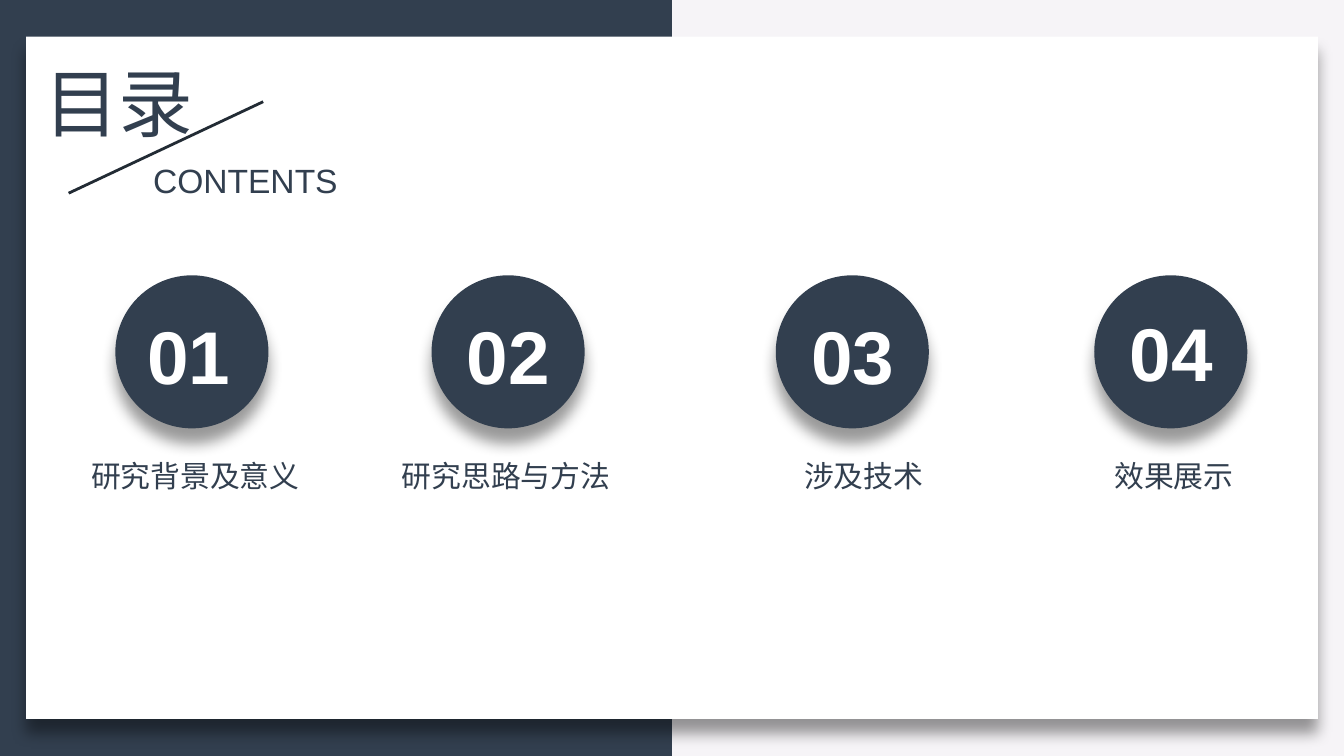
from pptx import Presentation
from pptx.dml.color import RGBColor
from pptx.enum.shapes import MSO_CONNECTOR, MSO_SHAPE
from pptx.enum.text import MSO_ANCHOR, MSO_AUTO_SIZE, PP_ALIGN
from pptx.oxml import parse_xml
from pptx.oxml.ns import nsdecls, qn
from pptx.util import Pt

RECT, OVAL = MSO_SHAPE.RECTANGLE, MSO_SHAPE.OVAL
STRAIGHT = MSO_CONNECTOR.STRAIGHT
TOP, GROW = MSO_ANCHOR.TOP, MSO_AUTO_SIZE.SHAPE_TO_FIT_TEXT
LEFT, CENTER = PP_ALIGN.LEFT, PP_ALIGN.CENTER
NAVY, WHITE = "323F4F", "FFFFFF"
SHADOW = (f'<a:effectLst {nsdecls("a")}>'
          '<a:outerShdw blurRad="101600" dist="101600" dir="5400000" algn="t" rotWithShape="0">'
          '<a:srgbClr val="000000"><a:alpha val="40000"/></a:srgbClr>'
          '</a:outerShdw></a:effectLst>')

prs = Presentation()
prs.slide_width, prs.slide_height = Pt(720), Pt(405)
s = prs.slides.add_slide(prs.slide_layouts[5])
rgb = RGBColor.from_string


def add_block(kind, x, y, w, h, color, shadow=True):
    sp = s.shapes.add_shape(kind, Pt(x), Pt(y), Pt(w), Pt(h))
    sp.fill.solid()
    sp.fill.fore_color.rgb = rgb(color)
    sp.line.fill.background()
    sp.shadow.inherit = False
    if shadow:
        pr = sp.element.spPr
        pr.replace(pr.find(qn("a:effectLst")), parse_xml(SHADOW))
    return sp


def set_text(sp, x, y, w, h, text, size, font, color=NAVY, align=CENTER, bold=False):
    sp.left, sp.top, sp.width, sp.height = Pt(x), Pt(y), Pt(w), Pt(h)
    tf = sp.text_frame
    tf.text = text
    tf.word_wrap = False
    tf.auto_size = GROW
    tf.vertical_anchor = TOP
    p = tf.paragraphs[0]
    p.alignment = align
    r = p.runs[0]
    r.font.size, r.font.bold, r.font.name = Pt(size), bold, font
    r.font.color.rgb = rgb(color)
    # East Asian characters use the same font
    ea = parse_xml(f'<a:ea {nsdecls("a")} typeface="{font}"/>')
    r.font._element.find(qn("a:latin")).addnext(ea)


# Background: light slide, dark left half, white card
s.background.fill.solid()
s.background.fill.fore_color.rgb = rgb("F6F4F7")
half = add_block(RECT, 0, 0, 360, 405, NAVY, shadow=False)
card = add_block(RECT, 14, 19.7, 692, 365.5, WHITE)

# Title, in front of the card
title = s.shapes.title
card.element.addnext(title.element)
set_text(title, 16.5, 26.6, 95, 55.4, "目录", 40, "Calibri", align=LEFT)

# Slanted rule and subtitle
rule = s.shapes.add_connector(STRAIGHT, Pt(141), Pt(54.5), Pt(36.8), Pt(103.5))
rule.line.color.rgb = rgb("222B34")
rule.line.width = Pt(1.5)
rule.element.spPr.append(parse_xml(f'<a:effectLst {nsdecls("a")}/>'))
set_text(s.shapes.add_textbox(0, 0, 0, 0), 74.9, 82.1, 114.5, 29,
         "CONTENTS", 18, "Arial", align=LEFT)

# Chapters: circle left, number left and top, label left, top and width, label
chapters = [
    (61.8, 71.3, 162.7, 41, 241.9, 127.4, "研究背景及意义"),
    (231.2, 242.6, 162.7, 207.4, 241.9, 127.4, "研究思路与方法"),
    (415.6, 427, 162.7, 423.4, 241.5, 78.5, "涉及技术"),
    (586.2, 597.6, 160.6, 589.7, 241.5, 78.5, "效果展示"),
]
for i, (x, num_x, num_y, label_x, label_y, label_w, label) in enumerate(chapters, 1):
    add_block(OVAL, x, 147.5, 82, 82, NAVY)
    set_text(s.shapes.add_textbox(0, 0, 0, 0), num_x, num_y, 59.5, 55.4,
             f"{i:02}", 40, "Arial", WHITE, bold=True)
    set_text(s.shapes.add_textbox(0, 0, 0, 0), label_x, label_y, label_w, 26.6,
             label, 16, "Noto Sans CJK SC")

prs.save("out.pptx")
